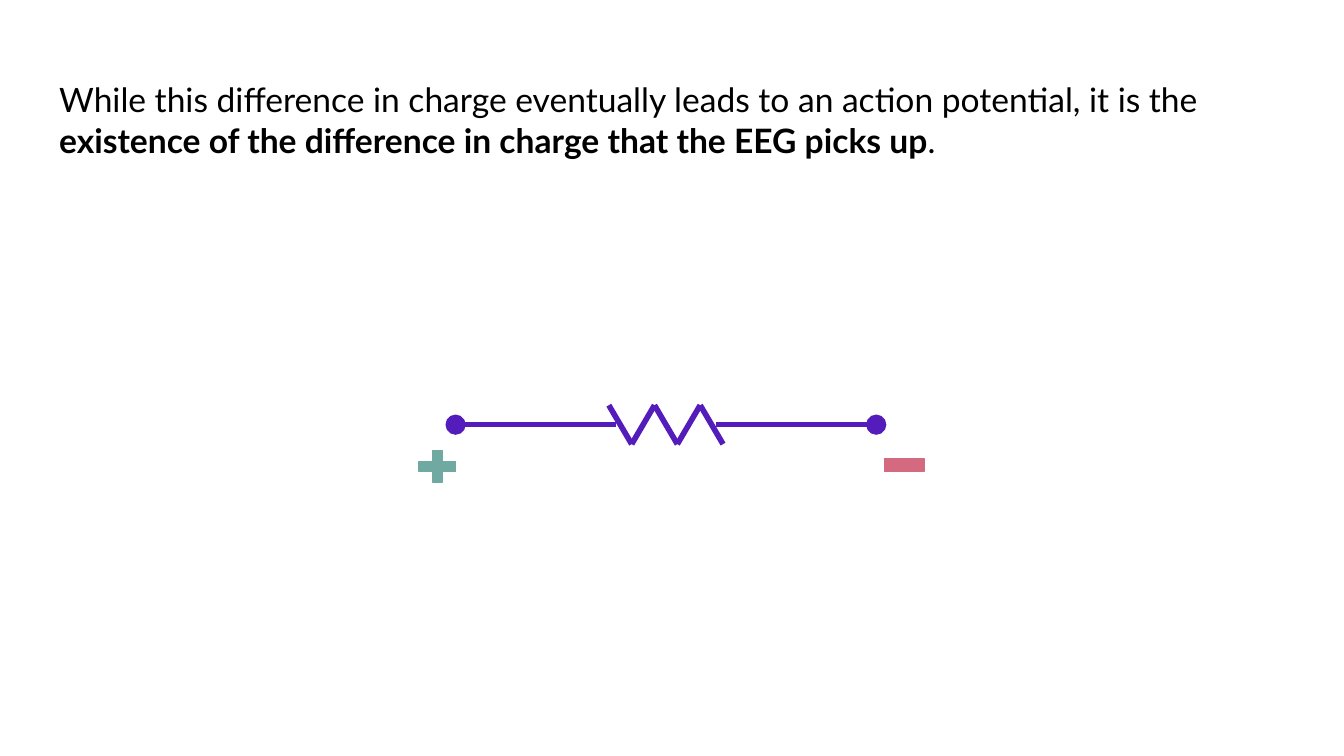
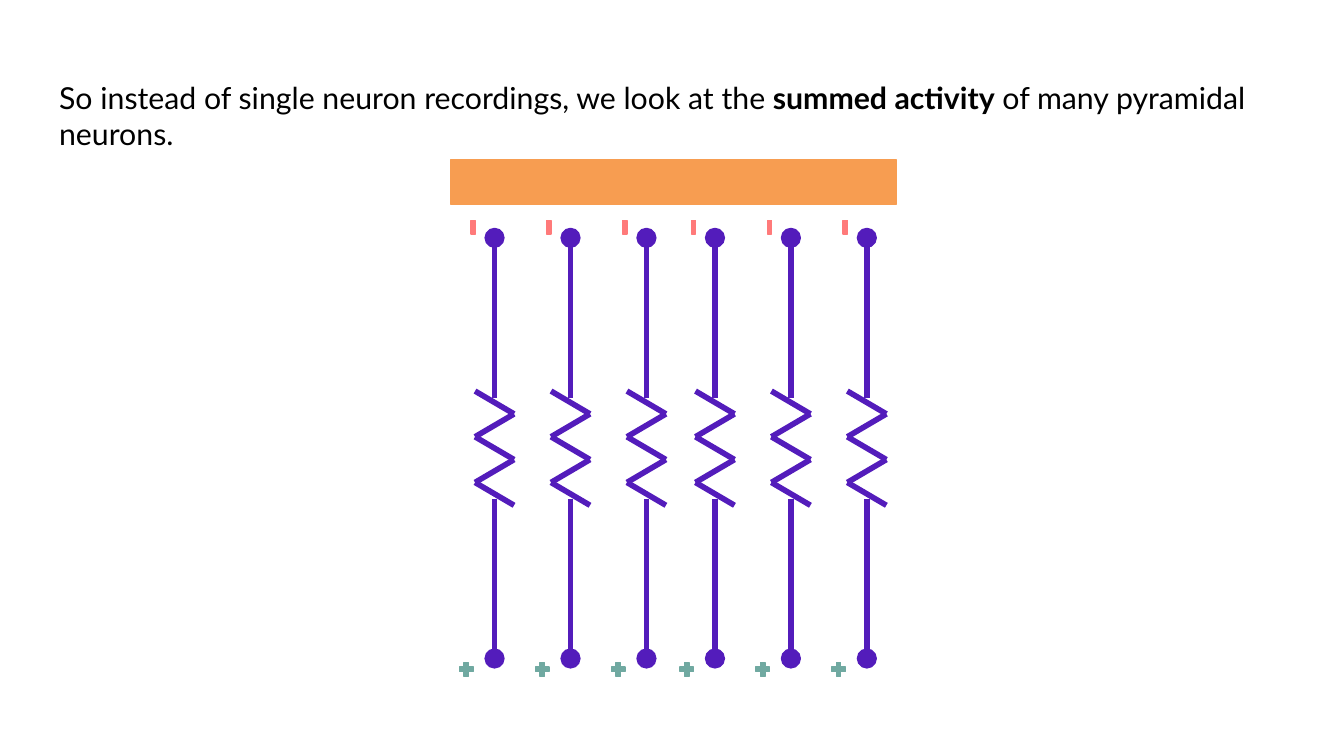
from dataclasses import dataclass

from pptx import Presentation
from pptx.dml.color import RGBColor
from pptx.enum.shapes import MSO_CONNECTOR as Line, MSO_SHAPE as Form
from pptx.enum.text import MSO_ANCHOR as Anchor, MSO_AUTO_SIZE as Fit, PP_ALIGN as Align
from pptx.oxml.ns import qn
from pptx.util import Inches, Pt
from lxml.etree import SubElement


@dataclass(frozen=True)
class Theme:
    font: str = "Lato"
    ink: str = "000000"
    nerve: str = "531CBB"
    plus: str = "70A9A1"
    minus: str = "D46A80"
    coral: str = "FF7A7A"
    scalp: str = "F79D51"
    large: float = 18
    small: float = 16.2
    wire: float = 3
    edge: float = 0.75


THEME = Theme()
WIDTH, HEIGHT = Inches(10), Inches(5.625)
CELL = WIDTH // 100  # the grid has 100 columns of square cells

# Neuron, in cells along its axis
ARM = 11.2
SPAN = 29.9
FOLD = 10.7
STEP = 1.7
SWING = 1.45
DOT = 1.4
GAP = 5.65


def grid(*cells):
    return [round(cell * CELL) for cell in cells]


def color(code):
    return RGBColor.from_string(code)


def title(deck, size, *parts):
    """Add a title-only slide; parts alternate between regular and bold."""
    slide = deck.slides.add_slide(deck.slide_layouts[5])
    head = slide.shapes.title
    head.left, head.top, head.width, head.height = grid(3.4, 4.9, 93.2, 6.3)
    frame = head.text_frame
    frame.word_wrap = True
    frame.auto_size = Fit.NONE
    frame.vertical_anchor = Anchor.TOP
    frame.margin_left = frame.margin_right = CELL
    frame.margin_top = frame.margin_bottom = CELL
    para = frame.paragraphs[0]
    para.alignment = Align.LEFT
    for i, part in enumerate(parts):
        run = para.add_run()
        run.text = part
        font = run.font
        font.name, font.size, font.bold = THEME.font, Pt(size), i % 2 == 1
        font.color.rgb = color(THEME.ink)
    return slide


def shape(slide, form, mid, size, code, turn=0):
    """Add a preset shape centred on mid."""
    (x, y), (w, h) = mid, size
    item = slide.shapes.add_shape(form, *grid(x - w / 2, y - h / 2, w, h))
    item.shadow.inherit = False
    item.fill.solid()
    item.fill.fore_color.rgb = color(code)
    item.line.color.rgb = color(code)
    item.line.width = Pt(THEME.edge)
    item.rotation = turn
    return item


def sign(slide, form, mid, size, code, turn=0):
    shape(slide, form, mid, size, code, turn).adjustments[0] = 0.235


def wire(slide, start, end):
    item = slide.shapes.add_connector(Line.STRAIGHT, *grid(*start, *end))
    item.line.color.rgb = color(THEME.nerve)
    item.line.width = Pt(THEME.wire)
    SubElement(item._element.spPr, qn("a:effectLst"))


def neuron(slide, x, y, upright=False):
    """Draw two arms, a zigzag and end dots from (x, y), rightward or down."""
    def spot(along, side=0):
        return (x + side, y + along) if upright else (x + along, y + side)

    wire(slide, spot(0), spot(ARM))
    folds = [spot(FOLD + i * STEP, SWING if i % 2 else -SWING) for i in range(6)]
    for start, end in zip(folds, folds[1:]):
        wire(slide, start, end)
    wire(slide, spot(SPAN - ARM), spot(SPAN))
    for along in (-DOT / 2, SPAN + DOT / 2):
        shape(slide, Form.OVAL, spot(along), (DOT, DOT), THEME.nerve)


def single(deck):
    slide = title(
        deck, THEME.large,
        "While this difference in charge eventually leads to an action potential, it is the ",
        "existence of the difference in charge that the EEG picks up",
        ".",
    )
    neuron(slide, 34.6, 31.6)
    sign(slide, Form.MATH_PLUS, (32.55, 34.7), (3.7, 3.2), THEME.plus)
    sign(slide, Form.MATH_MINUS, (67.3, 34.6), (4, 4), THEME.minus)


def summed(deck):
    slide = title(
        deck, THEME.small,
        "So instead of single neuron recordings, we look at the ",
        "summed activity",
        " of many pyramidal neurons.",
    )
    size = (DOT, DOT)
    for first in (36.8, 53.2):
        for i in range(3):
            x = first + i * GAP
            neuron(slide, x, 18.4, upright=True)
            sign(slide, Form.MATH_PLUS, (x - 2.1, 49.8), size, THEME.plus, 270)
            sign(slide, Form.MATH_MINUS, (x - 1.6, 16.9), size, THEME.coral, 270)
    shape(slide, Form.RECTANGLE, (50.1, 13.55), (33.2, 3.3), THEME.scalp)


def main():
    deck = Presentation()
    deck.slide_width, deck.slide_height = WIDTH, HEIGHT
    single(deck)
    summed(deck)
    deck.save("out.pptx")


if __name__ == "__main__":
    main()
